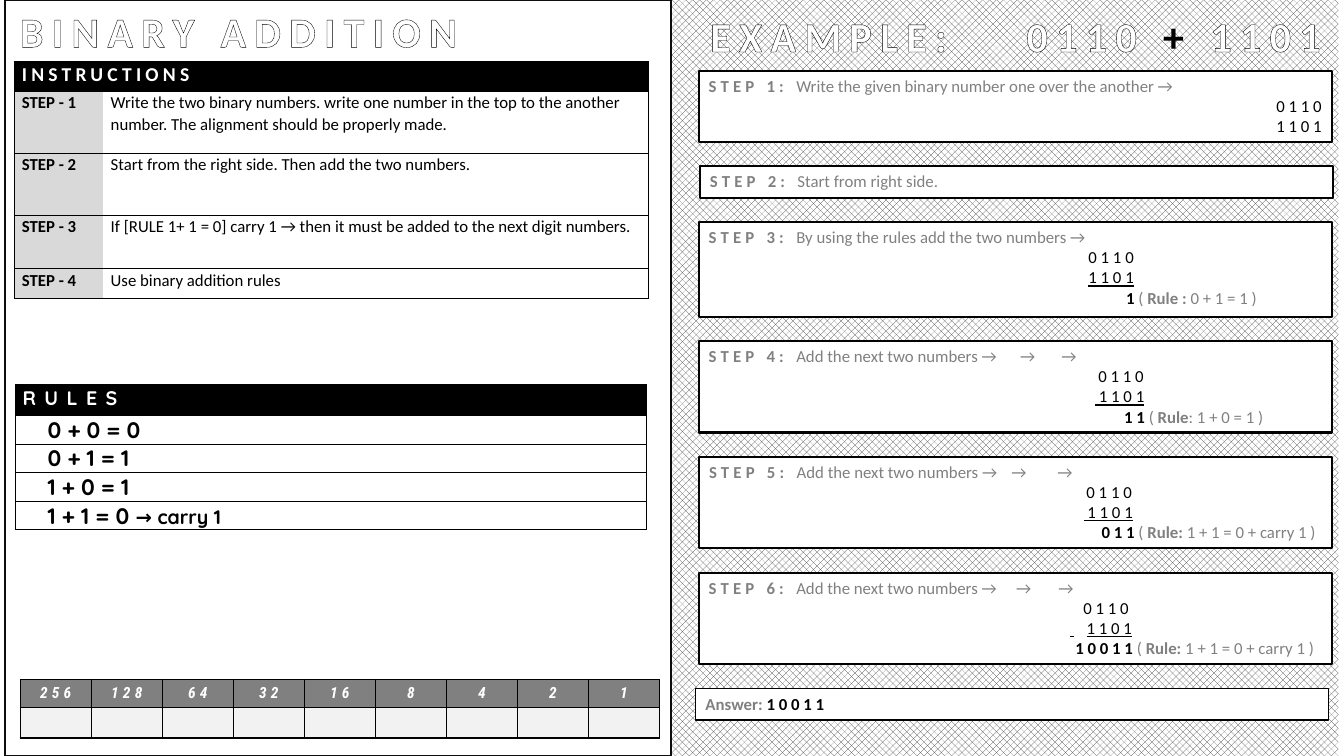
from lxml import etree
from pptx import Presentation
from pptx import util as u
from pptx.dml.color import RGBColor
from pptx.enum import dml, shapes, text
from pptx.oxml import ns

Cm, Pt = u.Cm, u.Pt
ALIGN = text.PP_ALIGN
COLOURS = {"black": "000000", "white": "FFFFFF", "panel": "0D0D0D", "hatch": "404040",
           "grey": "808080", "label": "D9D9D9", "pale": "F2F2F2"}
NO_STYLE = "{2D5ABB26-0587-4C30-8999-92F81FD0307C}"
GAP = 0.61

INSTRUCTIONS = [
    ("STEP - 1", "Write the two binary numbers. write one number in the top to the another "
                 "number. The alignment should be properly made."),
    ("STEP - 2", "Start from the right side. Then add the two numbers."),
    ("STEP - 3", "If [RULE 1+ 1 = 0] carry 1 → then it must be added to the next digit numbers."),
    ("STEP - 4", "Use binary addition rules"),
]
RULES = [["0 + 0 = 0"], ["0 + 1 = 1"], ["1 + 0 = 1"], ["1 + 1 = 0 ", "→ carry 1"]]
PLACES = [str(2 ** power) for power in range(8, -1, -1)]


def colour(name):
    return RGBColor.from_string(COLOURS[name])


def child(parent, tag, **attributes):
    return etree.SubElement(parent, ns.qn(tag), attributes)


def add_run(paragraph, words, ink="grey", size=12, bold=False, font="Calibri",
            spacing=0, underline=False, italic=False, outlined=False):
    run = paragraph.add_run()
    run.text = words
    run.font.size, run.font.name = Pt(size), font
    run.font.bold, run.font.italic, run.font.underline = bold, italic, underline
    run.font.color.rgb = colour(ink)
    properties = run.font._element
    if spacing:
        properties.set("spc", str(spacing * 100))
    if outlined:
        line = child(properties, "a:ln", w=str(Pt(2.25)))
        child(child(line, "a:solidFill"), "a:srgbClr", val=COLOURS["black"])
        properties.insert(0, line)


def set_tabs(paragraph, stops):
    tabs = child(paragraph._p.get_or_add_pPr(), "a:tabLst")
    for stop in stops:
        child(tabs, "a:tab", pos=str(Cm(stop)), algn="l")


def add_panel(slide, left, top, width, height, line_width=None, ink="black"):
    shape = slide.shapes.add_shape(shapes.MSO_SHAPE.RECTANGLE,
                                   Cm(left), Cm(top), Cm(width), Cm(height))
    shape.shadow.inherit = False
    shape.fill.solid()
    shape.fill.fore_color.rgb = colour("white")
    if line_width:
        shape.line.color.rgb = colour(ink)
        shape.line.width = Pt(line_width)
    else:
        shape.line.fill.background()
    return shape


def add_box(slide, left, top, height, lines, line_width=1.5):
    frame = add_panel(slide, left, top, 15.95, height, line_width).text_frame
    frame.word_wrap = True
    frame.vertical_anchor = text.MSO_ANCHOR.TOP
    for index, (align, stops, runs) in enumerate(lines):
        paragraph = frame.add_paragraph() if index else frame.paragraphs[0]
        paragraph.alignment = align
        if stops:
            set_tabs(paragraph, stops)
        for words, style in runs:
            add_run(paragraph, words, **style)


def heading(number, words, stops=()):
    arrows = "\t→" * len(stops)
    return (ALIGN.LEFT, stops, [(f"STEP {number}: ", {"bold": True, "spacing": 3}),
                                (words + arrows, {})])


def addition(top_stop, under_stop, result_stop, result, rule, reason, lead=0):
    black = {"ink": "black"}
    underlined = {"ink": "black", "underline": True}
    space = [(" ", {**underlined, "spacing": lead})] if under_stop < top_stop else []
    return [
        (ALIGN.LEFT, [top_stop], [("\t0 1 1 0", black)]),
        (ALIGN.LEFT, [under_stop], [("\t", black), *space, ("1 1 0 1", underlined)]),
        (ALIGN.LEFT, [result_stop], [("\t" + result + " ", {"ink": "black", "bold": True}),
                                     ("( ", {}), (rule, {"bold": True}), (reason, {})]),
    ]


def add_example(slide):
    following = "Add the next two numbers →"
    digits = [(ALIGN.RIGHT, (), [(row, {"ink": "black"})]) for row in ("0 1 1 0", "1 1 0 1")]
    answer = [(ALIGN.LEFT, (), [("Answer: ", {"bold": True}),
                                ("1 0 0 1 1", {"ink": "black", "bold": True})])]
    boxes = [
        (17.61, 1.8, [heading(1, "Write the given binary number one over the another →")] + digits),
        (17.64, 0.79, [heading(2, "Start from right side.")]),
        (17.61, 2.39, [heading(3, "By using the rules add the two numbers →")]
         + addition(9.57, 9.57, 10.52, "1", "Rule :", " 0 + 1 = 1 )")),
        (17.61, 2.31, [heading(4, following, (7.85, 8.89))]
         + addition(9.82, 9.74, 10.47, "1 1", "Rule", ": 1 + 0 = 1 )")),
        (17.62, 2.31, [heading(5, following, (7.62, 8.78))]
         + addition(9.51, 9.44, 9.89, "0 1 1", "Rule:", " 1 + 1 = 0 + carry 1 )")),
        (17.61, 2.31, [heading(6, following, (7.75, 8.81))]
         + addition(9.44, 9.11, 9.24, "1 0 0 1 1", "Rule: ", "1 + 1 = 0 + carry 1 )", 9)),
    ]
    top = 1.78
    for left, height, lines in boxes:
        add_box(slide, left, top, height, lines)
        top += height + GAP
    add_box(slide, 17.53, top, 0.79, answer, 1.25)

    box = slide.shapes.add_textbox(Cm(17.65), Cm(0.13), Cm(16.2), Cm(1.54))
    box.text_frame.word_wrap = False
    box.text_frame.margin_right = 0
    paragraph = box.text_frame.paragraphs[0]
    paragraph.alignment = ALIGN.LEFT
    set_tabs(paragraph, [7.97])
    for words, ink in (("EXAMPLE:\t0110 ", "white"), ("+", "black"), (" 1101", "white")):
        add_run(paragraph, words, ink, 30, True, spacing=6, outlined=ink == "white")


def add_grid(slide, left, top, widths, heights):
    frame = slide.shapes.add_table(len(heights), len(widths), Cm(left), Cm(top),
                                   Cm(sum(widths)), Cm(sum(heights)))
    table = frame.table
    table.horz_banding = table.first_row = False
    table._tbl.tblPr.find(ns.qn("a:tableStyleId")).text = NO_STYLE
    for column, width in zip(table.columns, widths):
        column.width = Cm(width)
    for row, height in zip(table.rows, heights):
        row.height = Cm(height)
    return table


def style_cell(cell, fill, sides="LRTB", line_width=0.5):
    properties = cell._tc.get_or_add_tcPr()
    for side in sides:
        line = child(properties, f"a:ln{side}", w=str(Pt(line_width)))
        child(child(line, "a:solidFill"), "a:srgbClr", val=COLOURS["black"])
    cell.fill.solid()
    cell.fill.fore_color.rgb = colour(fill)


def text_cell(cell, fill, sides="LRTB", indent=0.19, line_spacing=1.07):
    style_cell(cell, fill, sides)
    cell.margin_left, cell.margin_right = Cm(indent), Cm(0.19)
    cell.margin_top = cell.margin_bottom = 0
    paragraph = cell.text_frame.paragraphs[0]
    paragraph.line_spacing = line_spacing
    return paragraph


def add_instructions(slide):
    table = add_grid(slide, 0.36, 1.55, [2.24, 13.73], [0.75, 1.57, 1.56, 1.34, 0.75])
    table.cell(0, 0).merge(table.cell(0, 1))
    add_run(text_cell(table.cell(0, 0), "black"), "INSTRUCTIONS", "white", 14, True, spacing=3)
    for row, (label, words) in enumerate(INSTRUCTIONS, 1):
        add_run(text_cell(table.cell(row, 0), "label", "LTB"), label, "black", bold=True)
        add_run(text_cell(table.cell(row, 1), "white", "RTB"), words, "black")


def add_rules(slide):
    table = add_grid(slide, 0.38, 9.69, [15.9], [0.78] + [0.72] * len(RULES))
    add_run(text_cell(table.cell(0, 0), "black"), "RULES", "white", 14, True, "Quicksand", 6)
    for row, runs in enumerate(RULES, 1):
        paragraph = text_cell(table.cell(row, 0), "white", indent=0.82, line_spacing=1.02)
        for words, size in zip(runs, (16, 14)):
            add_run(paragraph, words, "black", size, True, "Quicksand")


def add_place_values(slide):
    table = add_grid(slide, 0.51, 17.12, [1.79] * len(PLACES), [0.7, 0.77])
    for column, value in enumerate(PLACES):
        style_cell(table.cell(0, column), "grey", line_width=1)
        style_cell(table.cell(1, column), "pale", line_width=1)
        paragraph = table.cell(0, column).text_frame.paragraphs[0]
        paragraph.alignment = ALIGN.CENTER
        add_run(paragraph, value, "white", 11, True, "Roboto Condensed", 3, italic=True)
        child(table.cell(1, column).text_frame.paragraphs[0]._p, "a:endParaRPr", sz="1100")


def place_title(slide):
    title = slide.shapes.title
    title.left, title.top, title.width, title.height = Cm(0.25), Cm(0), Cm(12), Cm(1.54)
    title.text_frame.word_wrap = False
    paragraph = title.text_frame.paragraphs[0]
    paragraph.alignment = ALIGN.LEFT
    add_run(paragraph, "BINARY ADDITION", "white", 30, True, spacing=6, outlined=True)
    slide.shapes._spTree.append(title._element)


def main():
    presentation = Presentation()
    presentation.slide_width, presentation.slide_height = Cm(33.87), Cm(19.05)
    slide = presentation.slides.add_slide(presentation.slide_layouts[5])
    add_panel(slide, 0.13, 0, 16.79, 19.05, 1.5, "panel")
    backdrop = add_panel(slide, 16.94, 0, 16.79, 19.05)
    backdrop.fill.patterned()
    backdrop.fill.pattern = dml.MSO_PATTERN.PERCENT_50
    backdrop.fill.fore_color.rgb = colour("hatch")
    backdrop.fill.back_color.rgb = colour("white")
    add_example(slide)
    add_instructions(slide)
    place_title(slide)
    add_rules(slide)
    add_place_values(slide)
    presentation.save("out.pptx")


if __name__ == "__main__":
    main()
